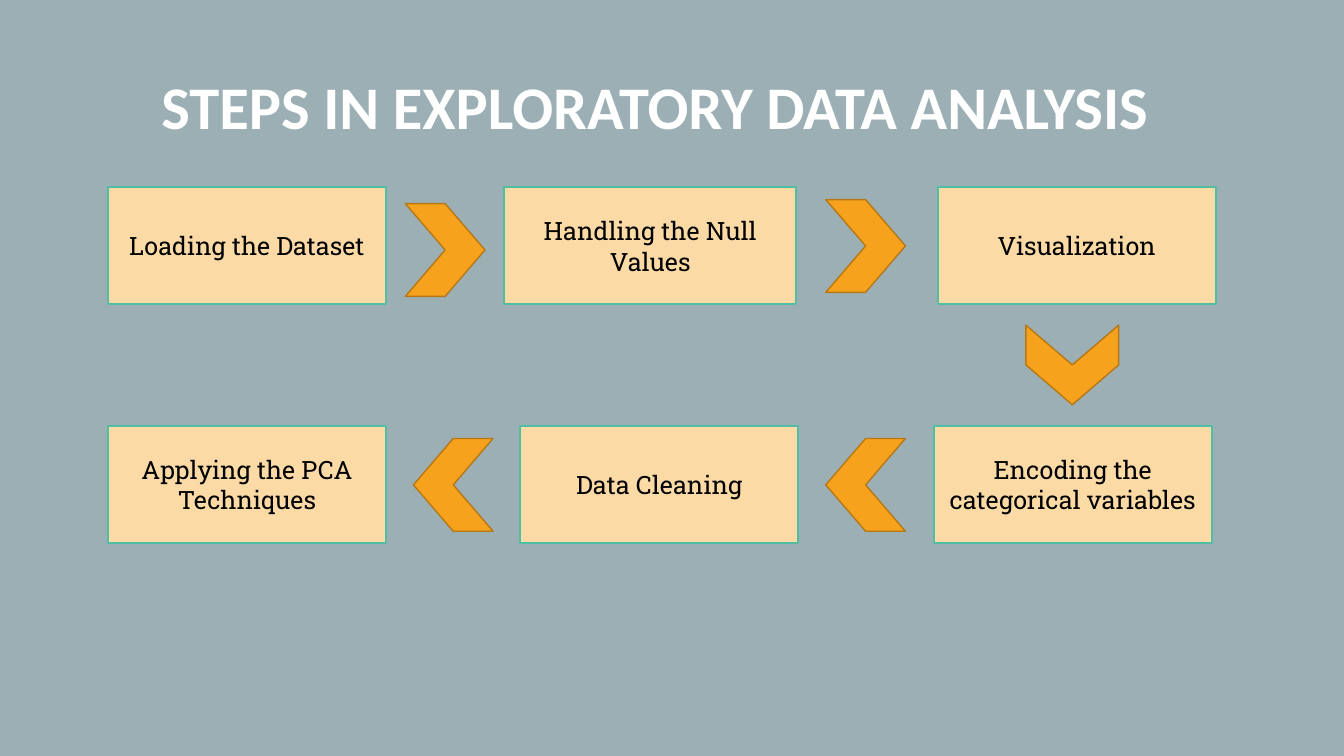
from typing import NamedTuple

from pptx import Presentation
from pptx.dml.color import RGBColor
from pptx.enum.shapes import MSO_SHAPE as Shape
from pptx.enum.text import MSO_ANCHOR as Anchor, MSO_AUTO_SIZE as AutoSize, PP_ALIGN as Align
from pptx.util import Inches, Pt

BACKGROUND, WHITE, BLACK = "9BAFB5", "FFFFFF", "000000"
BOX_FILL, BOX_LINE = "FBDAA5", "50BEA3"
ARROW_FILL, ARROW_LINE = "F6A21D", "B67815"
TOP_ROW, BOTTOM_ROW = 1.86, 4.23
BOX_HEIGHT = 1.16
ARROW_WIDTH, ARROW_HEIGHT = 0.79, 0.92


class Step(NamedTuple):
    text: str
    left: float
    top: float
    width: float = 2.76


class Arrow(NamedTuple):
    left: float
    top: float
    rotation: int = 0


STEPS = [
    Step("Loading the Dataset", 1.07, TOP_ROW),
    Step("Handling the Null Values", 5, TOP_ROW, width=2.9),
    Step("Visualization", 9.3, TOP_ROW),
    Step("Encoding the categorical variables", 9.26, BOTTOM_ROW),
    Step("Data Cleaning", 5.16, BOTTOM_ROW),
    Step("Applying the PCA Techniques", 1.07, BOTTOM_ROW),
]
ARROWS = [
    Arrow(4.02, 2.02),
    Arrow(8.19, 1.98),
    Arrow(10.24, 3.16, rotation=90),
    Arrow(8.19, 4.35, rotation=180),
    Arrow(4.1, 4.35, rotation=180),
]


def rgb(color: str) -> RGBColor:
    return RGBColor.from_string(color)


def write(sp, text: str, *, size: float, font: str, color: str, bold: bool = False,
          anchor=Anchor.MIDDLE, spacing: float = 1.0) -> None:
    """Put one centred paragraph into a shape."""
    tf = sp.text_frame
    tf.word_wrap = True
    tf.auto_size = AutoSize.NONE
    tf.vertical_anchor = anchor
    p = tf.paragraphs[0]
    p.alignment = Align.CENTER
    p.line_spacing = spacing
    r = p.add_run()
    r.text = text
    r.font.size = Pt(size)
    r.font.name = font
    r.font.bold = bold
    r.font.color.rgb = rgb(color)


def add_filled(s, kind, left: float, top: float, width: float, height: float, *,
               fill: str, line: str, weight: float):
    """Add a preset shape with a solid fill and an outline."""
    sp = s.shapes.add_shape(kind, Inches(left), Inches(top), Inches(width), Inches(height))
    sp.shadow.inherit = False
    sp.fill.solid()
    sp.fill.fore_color.rgb = rgb(fill)
    sp.line.color.rgb = rgb(line)
    sp.line.width = Pt(weight)
    return sp


def add_title(s, text: str) -> None:
    title = s.shapes.title
    title.left, title.top = Inches(1.04), Inches(0.73)
    title.width, title.height = Inches(10.91), Inches(0.72)
    write(title, text, size=43.2, font="Calibri", color=WHITE, bold=True,
          anchor=Anchor.BOTTOM, spacing=0.8)


def add_step(s, step: Step) -> None:
    sp = add_filled(s, Shape.RECTANGLE, step.left, step.top, step.width, BOX_HEIGHT,
                    fill=BOX_FILL, line=BOX_LINE, weight=1.5)
    write(sp, step.text, size=18, font="Roboto Slab", color=BLACK)


def add_arrow(s, arrow: Arrow) -> None:
    sp = add_filled(s, Shape.CHEVRON, arrow.left, arrow.top, ARROW_WIDTH, ARROW_HEIGHT,
                    fill=ARROW_FILL, line=ARROW_LINE, weight=1)
    sp.rotation = arrow.rotation


def main() -> None:
    prs = Presentation()
    prs.slide_width, prs.slide_height = Inches(13.33), Inches(7.5)
    s = prs.slides.add_slide(prs.slide_layouts.get_by_name("Title Only"))
    s.background.fill.solid()
    s.background.fill.fore_color.rgb = rgb(BACKGROUND)

    add_title(s, "STEPS IN EXPLORATORY DATA ANALYSIS")
    for step in STEPS:
        add_step(s, step)
    for arrow in ARROWS:
        add_arrow(s, arrow)
    prs.save("out.pptx")


if __name__ == "__main__":
    main()
